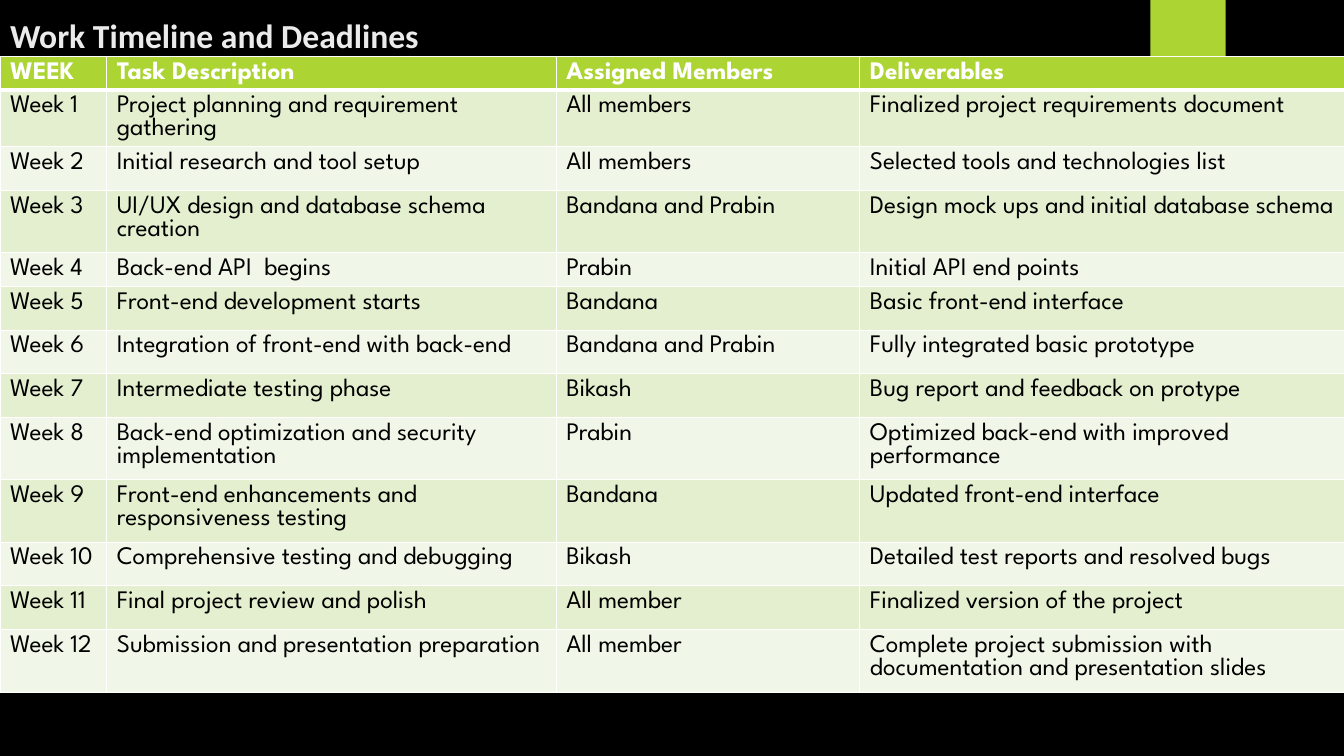
from lxml.etree import SubElement
from pptx import Presentation
from pptx.dml.color import RGBColor
from pptx.enum.shapes import MSO_SHAPE as Preset
from pptx.enum.text import MSO_ANCHOR as Anchor, PP_ALIGN as Align
from pptx.oxml.ns import qn
from pptx.util import Cm, Pt

BLACK = RGBColor(0x00, 0x00, 0x00)
WHITE = RGBColor(0xFF, 0xFF, 0xFF)
TITLE_GREY = RGBColor(0xEB, 0xEB, 0xEB)
LIME = RGBColor(0xAC, 0xD4, 0x33)
BAND_COLORS = (RGBColor(0xE3, 0xEF, 0xCE), RGBColor(0xF1, 0xF7, 0xE8))

COLUMN_WIDTHS = (2.69, 11.33, 7.65, 12.27)
HEADER_HEIGHT = 0.84
HEADINGS = ("WEEK", "Task Description", "Assigned Members", "Deliverables")
WEEKS = (
    (1.44, "Project planning and requirement gathering", "All members",
     "Finalized project requirements document"),
    (1.1, "Initial research and tool setup", "All members",
     "Selected tools and technologies list"),
    (1.57, "UI/UX design and database schema creation", "Bandana and Prabin",
     "Design mock ups and initial database schema"),
    (0.85, "Back-end API  begins", "Prabin", "Initial API end points"),
    (1.1, "Front-end development starts", "Bandana", "Basic front-end interface"),
    (1.1, "Integration of front-end with back-end", "Bandana and Prabin",
     "Fully integrated basic prototype"),
    (1.1, "Intermediate testing phase", "Bikash",
     "Bug report and feedback on protype"),
    (1.57, "Back-end optimization and security implementation", "Prabin",
     "Optimized back-end with improved performance"),
    (1.57, "Front-end enhancements and responsiveness testing", "Bandana",
     "Updated front-end interface"),
    (1.1, "Comprehensive testing and debugging", "Bikash",
     "Detailed test reports and resolved bugs"),
    (1.1, "Final project review and polish", "All member",
     "Finalized version of the project"),
    (1.6, "Submission and presentation preparation", "All member",
     "Complete project submission with documentation and presentation slides"),
)


def write_text(text_frame, text, font="League Spartan", size=18, color=BLACK,
               bold=False, align=Align.LEFT):
    """Write one formatted paragraph into a text frame."""
    paragraph = text_frame.paragraphs[0]
    paragraph.alignment = align
    run = paragraph.add_run()
    run.text = text
    run.font.name = font
    run.font.size = Pt(size)
    run.font.bold = bold
    run.font.color.rgb = color


def set_borders(cell, bottom=1, top=1):
    """Give a cell white borders with the given widths in points."""
    properties = cell._tc.get_or_add_tcPr()
    for side, width in (("L", 1), ("R", 1), ("T", top), ("B", bottom)):
        line = SubElement(properties, qn(f"a:ln{side}"), w=str(Pt(width)))
        fill = SubElement(line, qn("a:solidFill"))
        SubElement(fill, qn("a:srgbClr"), val=str(WHITE))


def fill_row(table, index, texts, height, fill, top=1, bottom=1, **text_format):
    """Fill one table row with its texts, colour and borders."""
    table.rows[index].height = Cm(height)
    for cell, text in zip(table.rows[index].cells, texts):
        set_borders(cell, bottom, top)
        cell.fill.solid()
        cell.fill.fore_color.rgb = fill
        write_text(cell.text_frame, text, **text_format)


def add_title(slide, text):
    """Place and format the title placeholder."""
    title = slide.shapes.title
    title.left, title.top = Cm(0), Cm(0.25)
    title.width, title.height = Cm(29.21), Cm(3.68)
    title.text_frame.vertical_anchor = Anchor.TOP
    title.text_frame.word_wrap = True
    write_text(title.text_frame, text, font="Calibri", size=24,
               color=TITLE_GREY, bold=True, align=Align.JUSTIFY)


def add_accent(slide):
    """Add the lime block at the top edge."""
    shape = slide.shapes.add_shape(
        Preset.RECTANGLE, Cm(28.99), Cm(0), Cm(1.9), Cm(3.18))
    shape.shadow.inherit = False
    shape.fill.solid()
    shape.fill.fore_color.rgb = LIME
    shape.line.fill.background()


def add_timeline(slide):
    """Add the table of weeks, tasks, members and deliverables."""
    height = HEADER_HEIGHT + sum(week[0] for week in WEEKS)
    table = slide.shapes.add_table(
        len(WEEKS) + 1, len(HEADINGS), Cm(0), Cm(1.42),
        Cm(sum(COLUMN_WIDTHS)), Cm(height)).table
    for column, width in zip(table.columns, COLUMN_WIDTHS):
        column.width = Cm(width)
    fill_row(table, 0, HEADINGS, HEADER_HEIGHT, LIME, bottom=3,
             color=WHITE, bold=True)
    for number, (row_height, *texts) in enumerate(WEEKS, start=1):
        fill_row(table, number, (f"Week {number}", *texts), row_height,
                 BAND_COLORS[(number - 1) % 2], top=3 if number == 1 else 1)


def main():
    """Build the slide and save the presentation."""
    presentation = Presentation()
    presentation.slide_width, presentation.slide_height = Cm(33.87), Cm(19.05)
    slide = presentation.slides.add_slide(presentation.slide_layouts[5])
    slide.background.fill.solid()
    slide.background.fill.fore_color.rgb = BLACK
    add_title(slide, "Work Timeline and Deadlines")
    add_accent(slide)
    add_timeline(slide)
    presentation.save("out.pptx")


if __name__ == "__main__":
    main()
